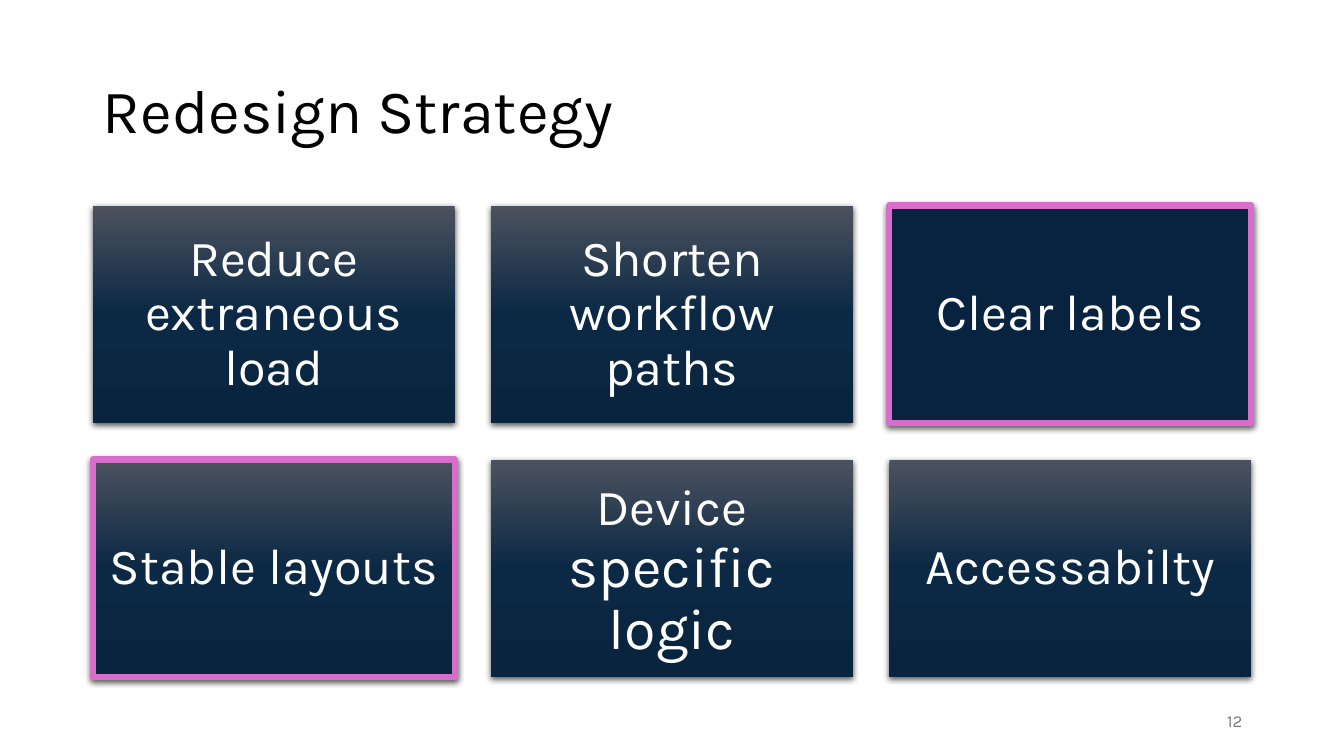
from copy import deepcopy

from pptx import Presentation
from pptx import util as u
from pptx.dml.color import RGBColor
from pptx.enum import shapes, text
from pptx.oxml import parse_xml
from pptx.oxml.ns import nsdecls, qn

WHITE = RGBColor(0xFF, 0xFF, 0xFF)
BLACK = RGBColor(0x00, 0x00, 0x00)
GREY = RGBColor(0x79, 0x79, 0x79)
NAVY = RGBColor(0x08, 0x23, 0x3F)
PINK = RGBColor(0xD8, 0x6E, 0xCC)
GRADIENT = (
    (0, RGBColor(0x4C, 0x52, 0x5F)),
    (0.5, RGBColor(0x0B, 0x28, 0x44)),
    (1, RGBColor(0x08, 0x24, 0x3E)),
)

# Each card: text runs with sizes, solid fill, pink outline
CARDS = (
    ([("Reduce extraneous load", 36)], False, False),
    ([("Shorten workflow paths", 36)], False, False),
    ([("Clear labels", 36)], True, True),
    ([("Stable layouts", 36)], False, True),
    ([("Device", 36), (" specific logic", 41)], False, False),
    ([("Accessabilty", 36)], False, False),
)
COLUMNS = 3
CARD_LEFT, CARD_TOP = 0.92, 2.04
CARD_WIDTH, CARD_HEIGHT = 3.59, 2.16
GAP = 0.36


class StrategySlide:
    font = "Karla"

    def __init__(self, presentation):
        self.slide = presentation.slides.add_slide(presentation.slide_layouts[5])

    def place(self, shape, left, top, width, height):
        shape.left, shape.top = u.Inches(left), u.Inches(top)
        shape.width, shape.height = u.Inches(width), u.Inches(height)

    def set_text(self, shape, runs, color, alignment, line_spacing=0.9):
        """Fill the shape with one vertically centred paragraph of (text, size) runs."""
        frame = shape.text_frame
        frame.word_wrap = True
        frame.auto_size = text.MSO_AUTO_SIZE.NONE
        frame.vertical_anchor = text.MSO_ANCHOR.MIDDLE
        paragraph = frame.paragraphs[0]
        paragraph.alignment = alignment
        paragraph.line_spacing = line_spacing
        for words, size in runs:
            run = paragraph.add_run()
            run.text = words
            run.font.name = self.font
            run.font.size = u.Pt(size)
            run.font.color.rgb = color

    def title(self, words):
        title = self.slide.shapes.title
        self.place(title, 0.92, 0.4, 11.5, 1.45)
        self.set_text(title, [(words, 44)], BLACK, text.PP_ALIGN.LEFT)

    def card(self, left, top, runs, solid, outlined):
        card = self.slide.shapes.add_shape(
            shapes.MSO_SHAPE.RECTANGLE, u.Inches(left), u.Inches(top),
            u.Inches(CARD_WIDTH), u.Inches(CARD_HEIGHT))
        if solid:
            card.fill.solid()
            card.fill.fore_color.rgb = NAVY
        else:
            self.shade(card)
        if outlined:
            card.line.color.rgb = PINK
            card.line.width = u.Pt(4.5)
        else:
            card.line.fill.background()
        self.cast_shadow(card)
        frame = card.text_frame
        frame.margin_left = frame.margin_right = u.Inches(0.15)
        frame.margin_top = frame.margin_bottom = u.Inches(0.15)
        self.set_text(card, runs, WHITE, text.PP_ALIGN.CENTER)

    def shade(self, shape):
        """Give the shape the three-stop gradient, running from top to bottom."""
        shape.fill.gradient()
        shape.fill.gradient_angle = 270
        stop_list = next(shape._element.spPr.iter(qn("a:gsLst")))
        stop_list.append(deepcopy(stop_list[0]))
        for stop, (position, color) in zip(shape.fill.gradient_stops, GRADIENT):
            stop.position = position
            stop.color.rgb = color

    def cast_shadow(self, shape):
        shape.shadow.inherit = False
        effects = shape._element.spPr.find(qn("a:effectLst"))
        effects.append(parse_xml(
            f'<a:outerShdw {nsdecls("a")} blurRad="{u.Pt(4.5)}" dist="{u.Pt(1.5)}" '
            'dir="5400000" algn="ctr" rotWithShape="0">'
            '<a:srgbClr val="000000"><a:alpha val="63000"/></a:srgbClr></a:outerShdw>'))

    def page_number(self, number):
        box = self.slide.shapes.add_textbox(
            u.Inches(9.42), u.Inches(6.95), u.Inches(3), u.Inches(0.4))
        self.set_text(box, [(number, 12)], GREY, text.PP_ALIGN.RIGHT, 1.0)


def main():
    presentation = Presentation()
    presentation.slide_width = u.Inches(13.33)
    presentation.slide_height = u.Inches(7.5)
    strategy = StrategySlide(presentation)
    strategy.title("Redesign Strategy")
    for index, (runs, solid, outlined) in enumerate(CARDS):
        row, column = divmod(index, COLUMNS)
        left = CARD_LEFT + column * (CARD_WIDTH + GAP)
        top = CARD_TOP + row * (CARD_HEIGHT + GAP)
        strategy.card(left, top, runs, solid, outlined)
    strategy.page_number("12")
    presentation.save("out.pptx")


if __name__ == "__main__":
    main()
